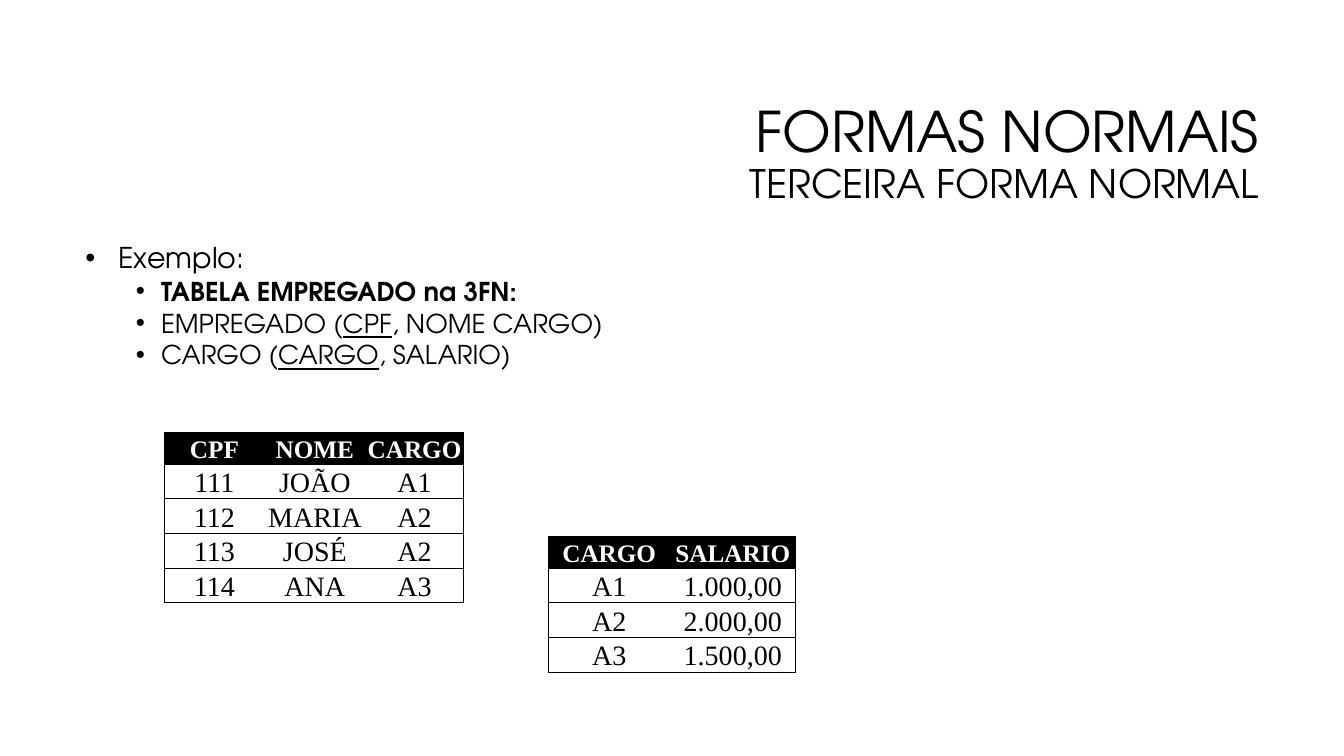
from lxml import etree
from pptx import Presentation
from pptx.dml.color import RGBColor as RGB
from pptx.enum.text import MSO_ANCHOR as ANCHOR, PP_ALIGN as ALIGN
from pptx.oxml.ns import qn
from pptx.util import Pt

THEME = {
    "sans": "TeX Gyre Adventor", "serif": "Times New Roman",
    "black": RGB(0, 0, 0), "white": RGB(255, 255, 255),
    "title": 40, "subtitle": 28, "lead": 20.4, "item": 18.5,
    "header": 18, "cell": 20, "rule": 0.5,
}


def add_run(p, text, font, size, color, bold=False, underline=False):
    r = p.add_run()
    r.text = text
    r.font.name = THEME[font]
    r.font.size = Pt(THEME[size])
    r.font.color.rgb = THEME[color]
    r.font.bold = bold
    r.font.underline = underline


def add_border(tcPr, side, visible):
    ln = etree.SubElement(tcPr, qn(f"a:ln{side}"), w=str(Pt(THEME["rule"])))
    if visible:
        fill = etree.SubElement(ln, qn("a:solidFill"))
        etree.SubElement(fill, qn("a:srgbClr"), val=str(THEME["black"]))
    else:
        etree.SubElement(ln, qn("a:noFill"))


prs = Presentation()
prs.slide_width, prs.slide_height = Pt(960), Pt(540)
s = prs.slides.add_slide(prs.slide_layouts[6])

tf = s.shapes.add_textbox(Pt(228.2), Pt(60.5), Pt(678.2), Pt(101.5)).text_frame
tf.word_wrap = True
tf.vertical_anchor = ANCHOR.MIDDLE
p = tf.paragraphs[0]
p.alignment = ALIGN.RIGHT
p.line_spacing = 0.9
add_run(p, "FORMAS NORMAIS", "sans", "title", "black")
p.add_line_break()
add_run(p, "TERCEIRA FORMA NORMAL", "sans", "subtitle", "black")

BULLETS = [
    (0, [(" Exemplo:", False, False)]),
    (1, [("TABELA EMPREGADO na 3FN:", True, False)]),
    (1, [("EMPREGADO (", False, False), ("CPF", False, True),
         (", NOME CARGO)", False, False)]),
    (1, [("CARGO (", False, False), ("CARGO", False, True),
         (", SALARIO)", False, False)]),
]
tf = s.shapes.add_textbox(Pt(54), Pt(172.8), Pt(851.8), Pt(97.2)).text_frame
tf.word_wrap = True
for i, (level, runs) in enumerate(BULLETS):
    p = tf.add_paragraph() if i else tf.paragraphs[0]
    p.level = level
    p.line_spacing = 0.8
    p.space_before = Pt(5 if level else 10)
    pPr = p._p.get_or_add_pPr()
    pPr.set("marL", str(Pt(18 + 36 * level)))
    pPr.set("indent", str(Pt(-18)))
    etree.SubElement(pPr, qn("a:buFont"), typeface="Arial")
    etree.SubElement(pPr, qn("a:buChar"), char="•")
    for text, bold, underline in runs:
        add_run(p, text, "sans", "item" if level else "lead", "black", bold, underline)

TABLES = [
    (117.7, 309, [71, 72.5, 70], [
        ["CPF", "NOME", "CARGO"],
        ["111", "JOÃO", "A1"],
        ["112", "MARIA", "A2"],
        ["113", "JOSÉ", "A2"],
        ["114", "ANA", "A3"],
    ]),
    (391.7, 383.2, [87, 89.5], [
        ["CARGO", "SALARIO"],
        ["A1", "1.000,00"],
        ["A2", "2.000,00"],
        ["A3", "1.500,00"],
    ]),
]
HEADER_H, ROW_H = 22.5, 24.75
for left, top, widths, rows in TABLES:
    height = HEADER_H + ROW_H * (len(rows) - 1)
    table = s.shapes.add_table(len(rows), len(widths), Pt(left), Pt(top),
                               Pt(sum(widths)), Pt(height)).table
    table.first_row = table.horz_banding = False
    for column, width in zip(table.columns, widths):
        column.width = Pt(width)
    for i, row in enumerate(rows):
        table.rows[i].height = Pt(ROW_H if i else HEADER_H)
        for j, text in enumerate(row):
            cell = table.cell(i, j)
            cell.margin_left = cell.margin_right = cell.margin_top = Pt(0.7)
            cell.margin_bottom = Pt(0)
            cell.vertical_anchor = ANCHOR.BOTTOM
            p = cell.text_frame.paragraphs[0]
            p.alignment = ALIGN.CENTER
            tcPr = cell._tc.get_or_add_tcPr()
            add_border(tcPr, "L", j == 0)
            add_border(tcPr, "R", j == len(row) - 1)
            add_border(tcPr, "T", True)
            add_border(tcPr, "B", True)
            if i == 0:
                cell.fill.solid()
                cell.fill.fore_color.rgb = THEME["black"]
                add_run(p, text, "serif", "header", "white", bold=True)
            else:
                cell.fill.background()
                add_run(p, text, "serif", "cell", "black")

prs.save("out.pptx")
